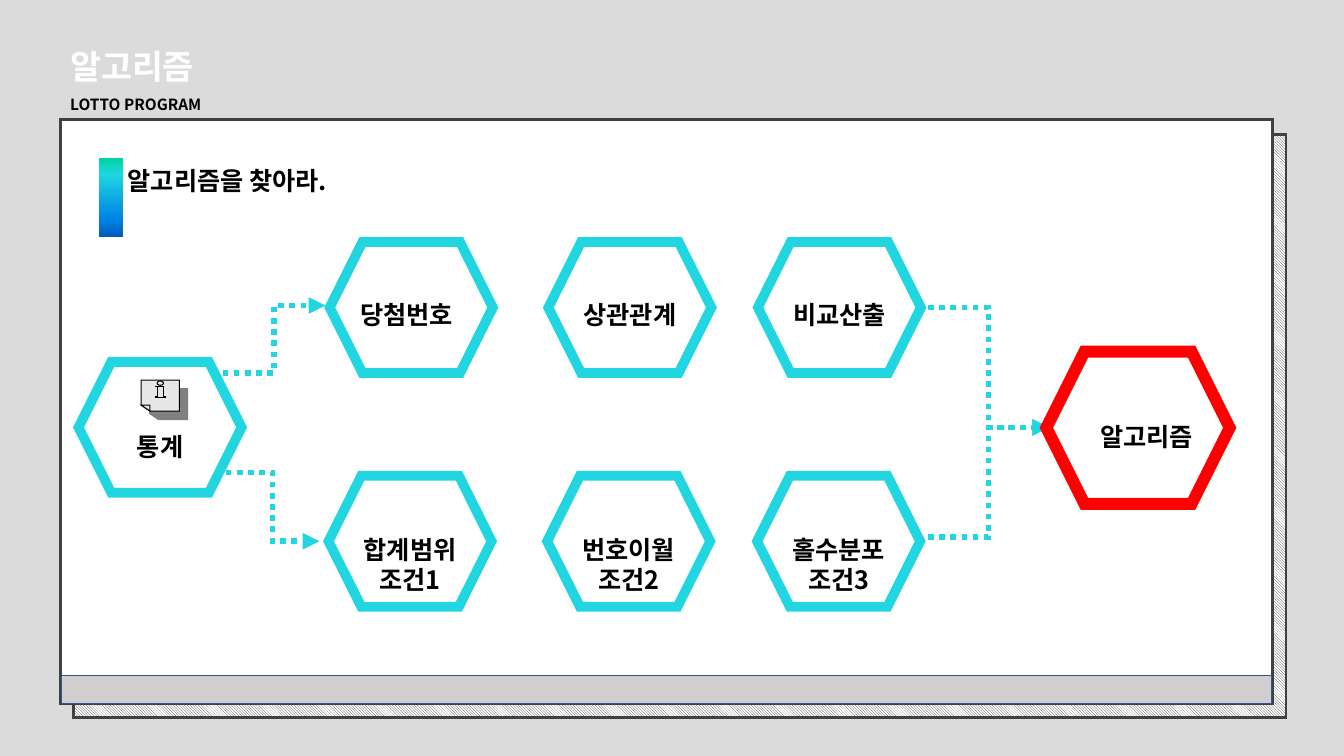
from dataclasses import dataclass
from lxml import etree
from pptx import Presentation, util as u
from pptx.dml.color import RGBColor
from pptx.enum import dml, shapes, text as tx
from pptx.oxml import parse_xml
from pptx.oxml.ns import nsdecls, qn


@dataclass
class Theme:
    font: str = "Noto Sans CJK KR"
    back: str = "DBDBDB"
    white: str = "FFFFFF"
    black: str = "000000"
    edge: str = "404040"
    cyan: str = "21D6E0"
    red: str = "FF0000"
    note: str = "E7E6E6"
    shade: str = "808080"
    foot: str = "D0CECE"
    rim: str = "325491"
    ramp: tuple = ((3, "03D4A8"), (20, "21D6E0"), (75, "0087E6"), (100, "005CBF"))
    title: float = 24
    sub: float = 11
    body: float = 18


look = Theme()
hue = RGBColor.from_string
kind = shapes.MSO_SHAPE
deck = Presentation()
deck.slide_width, deck.slide_height = u.Cm(33.87), u.Cm(19.05)
slide = deck.slides.add_slide(deck.slide_layouts[6])
slide.background.fill.solid()
slide.background.fill.fore_color.rgb = hue(look.back)
items = slide.shapes


def paint(shape, fill=None, line=None, width=1):
    shape.shadow.inherit = False
    if fill:
        shape.fill.solid()
        shape.fill.fore_color.rgb = hue(fill)
    else:
        shape.fill.background()
    if line:
        shape.line.color.rgb = hue(line)
        shape.line.width = u.Pt(width)
        join = etree.SubElement(shape.line._get_or_add_ln(), qn("a:miter"))
        join.set("lim", "800000")
    else:
        shape.line.fill.background()
    return shape


def write(words, box, size=look.body, color=look.black, align=tx.PP_ALIGN.CENTER):
    frame = items.add_textbox(*map(u.Cm, box)).text_frame
    frame.word_wrap = True
    frame.text = words
    for para in frame.paragraphs:
        para.alignment = align
        for run in para.runs:
            run.font.name = look.font
            run.font.size = u.Pt(size)
            run.font.bold = True
            run.font.color.rgb = hue(color)
            east = etree.SubElement(run.font._element, qn("a:ea"))
            east.set("typeface", look.font)
    return frame.paragraphs


left = tx.PP_ALIGN.LEFT
mid = tx.PP_ALIGN.CENTER

back = paint(items.add_shape(kind.RECTANGLE, *map(u.Cm, (1.85, 3.38, 30.56, 14.71))),
             look.white, look.edge, 2)
back.fill.patterned()
back.fill.pattern = dml.MSO_PATTERN.DARK_DOWNWARD_DIAGONAL
back.fill.fore_color.rgb = hue(look.edge)
back.fill.back_color.rgb = hue(look.white)
paint(items.add_shape(kind.RECTANGLE, *map(u.Cm, (1.52, 3.02, 30.56, 14.71))),
      look.white, look.edge, 2)

head, sub = write("알고리즘\nLOTTO PROGRAM", (1.52, 1.02, 15.32, 1.98),
                  look.title, look.white, left)
sub.line_spacing = 1.5
sub.runs[0].font.size = u.Pt(look.sub)
sub.runs[0].font.color.rgb = hue(look.black)

for ends in (
    (23.39, 7.75, 26.44, 10.77),
    (23.39, 13.54, 26.44, 10.77),
    (5.61, 9.4, 8.2, 7.7),
    (5.69, 11.91, 8.05, 13.64),
):
    link = items.add_connector(shapes.MSO_CONNECTOR.ELBOW, *map(u.Cm, ends))
    link.line.color.rgb = hue(look.cyan)
    link.line.width = u.Pt(4)
    link.line.dash_style = dml.MSO_LINE.ROUND_DOT
    ln = link.line._get_or_add_ln()
    etree.SubElement(ln, qn("a:miter")).set("lim", "800000")
    etree.SubElement(ln, qn("a:tailEnd")).set("type", "triangle")
    etree.SubElement(link._element.spPr, qn("a:effectLst"))

paint(items.add_shape(kind.HEXAGON, *map(u.Cm, (26.37, 8.86, 4.62, 3.84))),
      line=look.red, width=8.5)
write("알고리즘", (27.05, 10.49, 3.68, 1.02))

for words, x, y, drop, align in (
    ("합계범위\n조건1", 8.28, 11.99, 1.35, mid),
    ("번호이월\n조건2", 13.79, 11.99, 1.35, mid),
    ("홀수분포\n조건3", 19.08, 11.99, 1.35, mid),
    ("당첨번호", 8.31, 6.1, 1.32, left),
    ("상관관계", 13.82, 6.1, 1.32, mid),
    ("비교산출", 19.1, 6.1, 1.32, mid),
    ("통계", 1.98, 9.12, 1.62, mid),
):
    paint(items.add_shape(kind.HEXAGON, *map(u.Cm, (x, y, 4.11, 3.3))),
          line=look.cyan, width=7)
    tall = 1.8 if "\n" in words else 1.02
    write(words, (x + 0.52, y + drop, 3.07, tall), align=align)

page = ((356, 958), (452, 958), (452, 1036), (378, 1036), (356, 1021))
fold = ((356, 1021), (378, 1021), (378, 1036))
stem = ((391, 973), (411, 973), (411, 998), (417, 998), (417, 1001),
        (391, 1001), (391, 998), (396, 998), (396, 975), (391, 975))
for part in (page, fold, stem):
    pen = items.build_freeform(*part[0], scale=u.Cm(0.01))
    pen.add_line_segments(part[1:], close=True)
    shape = paint(pen.convert_to_shape(), look.note, look.black, 0.75)
    if part is page:
        glow = shape._element.spPr.find(qn("a:effectLst"))
        glow.append(parse_xml(
            f'<a:outerShdw {nsdecls("a")} dist="107950" dir="2700000" algn="ctr" '
            f'rotWithShape="0"><a:srgbClr val="{look.shade}"/></a:outerShdw>'))
paint(items.add_shape(kind.OVAL, *map(u.Cm, (3.96, 9.6, 0.16, 0.11))),
      look.note, look.black, 0.75)

bar = paint(items.add_shape(kind.RECTANGLE, *map(u.Cm, (2.49, 3.99, 0.61, 1.98))), look.cyan)
stops = "".join(f'<a:gs pos="{at * 1000}"><a:srgbClr val="{tint}"/></a:gs>'
                for at, tint in look.ramp)
solid = bar._element.spPr.find(qn("a:solidFill"))
bar._element.spPr.replace(solid, parse_xml(
    f'<a:gradFill {nsdecls("a")} rotWithShape="1"><a:gsLst>{stops}</a:gsLst>'
    '<a:lin ang="5400000" scaled="0"/></a:gradFill>'))
write("알고리즘을 찾아라.", (2.97, 4.04, 7.54, 1.02), align=left)

paint(items.add_shape(kind.RECTANGLE, *map(u.Cm, (1.55, 17.02, 30.5, 0.71))),
      look.foot, look.rim, 1)

deck.save("out.pptx")
